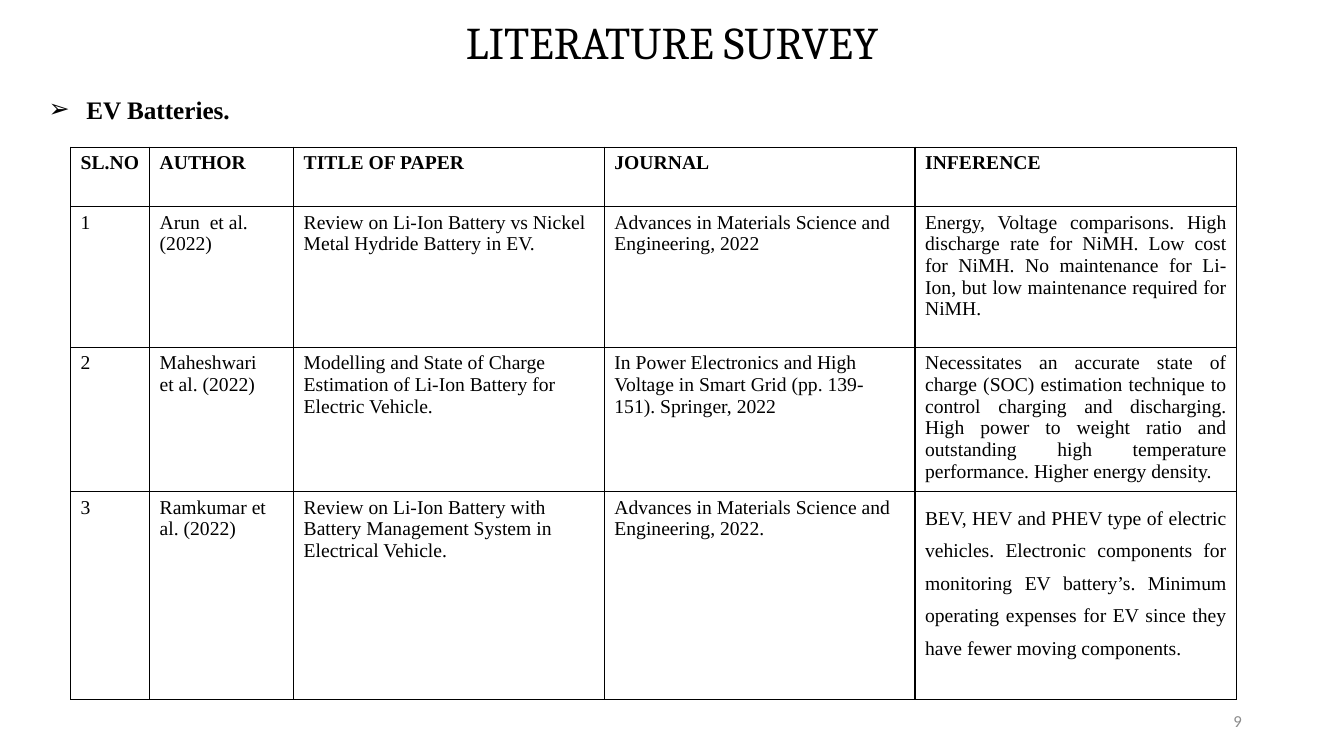
from dataclasses import dataclass

from lxml.etree import SubElement
from pptx import Presentation
from pptx.dml.color import RGBColor
from pptx.enum.text import MSO_ANCHOR, MSO_AUTO_SIZE, PP_ALIGN
from pptx.oxml import parse_xml
from pptx.oxml.ns import nsdecls, qn
from pptx.util import Cm, Pt


@dataclass(frozen=True)
class Theme:
    """Colours, fonts and type sizes of the slide."""
    ink: str = "000000"
    muted: str = "8C8C8C"
    title_font: str = "Cambria"
    text_font: str = "Times New Roman"
    number_font: str = "Calibri"
    title_size: float = 32.4
    heading_size: float = 18
    table_size: float = 14
    number_size: float = 12
    border_width: float = 1


THEME = Theme()
COLUMN_WIDTHS = (1.99, 3.63, 7.83, 7.83, 8.11)
ROW_HEIGHTS = (1.5, 3.54, 3.64, 5.24)
PAPERS = (
    ("SL.NO", "AUTHOR", "TITLE OF PAPER", "JOURNAL", "INFERENCE"),
    ("1", "Arun  et al. (2022)",
     "Review on Li-Ion Battery vs Nickel Metal Hydride Battery in EV.",
     "Advances in Materials Science and Engineering, 2022",
     "Energy, Voltage comparisons. High discharge rate for NiMH. Low cost for NiMH. "
     "No maintenance for Li-Ion, but low maintenance required for NiMH."),
    ("2", "Maheshwari\vet al. (2022)",
     "Modelling and State of Charge Estimation of Li-Ion Battery for Electric Vehicle.",
     "In Power Electronics and High Voltage in Smart Grid (pp. 139-151). Springer, 2022",
     "Necessitates an accurate state of charge (SOC) estimation technique to control "
     "charging and discharging. High power to weight ratio and outstanding high "
     "temperature performance. Higher energy density."),
    ("3", "Ramkumar et al. (2022)",
     "Review on Li-Ion Battery with Battery Management System in Electrical Vehicle.",
     "Advances in Materials Science and Engineering, 2022.",
     "BEV, HEV and PHEV type of electric vehicles. Electronic components for monitoring "
     "EV battery’s. Minimum operating expenses for EV since they have fewer moving "
     "components."),
)


def place(shape, left, top, width, height):
    """Move a shape to a place given in centimetres."""
    shape.left, shape.top = Cm(left), Cm(top)
    shape.width, shape.height = Cm(width), Cm(height)


def write(frame, text, font, size, color=THEME.ink, bold=False,
          align=PP_ALIGN.LEFT, spacing=1.0):
    """Set the text of a frame and format its paragraph and runs."""
    frame.word_wrap = True
    frame.text = text
    para = frame.paragraphs[0]
    para.alignment = align
    para.line_spacing = spacing
    para.space_before = Pt(0)
    for span in para.runs:
        span.font.name = font
        span.font.size = Pt(size)
        span.font.bold = bold
        span.font.color.rgb = RGBColor.from_string(color)
    return para


def add_title(page, text):
    """Fill the title placeholder."""
    title = page.shapes.title
    place(title, 2.34, 1.02, 29.2, 0.23)
    frame = title.text_frame
    frame.auto_size = MSO_AUTO_SIZE.NONE
    frame.vertical_anchor = MSO_ANCHOR.MIDDLE
    write(frame, text, THEME.title_font, THEME.title_size,
          align=PP_ALIGN.CENTER, spacing=0.9)


def add_heading(page, text):
    """Fill the body placeholder with one arrow-bulleted heading."""
    body = page.placeholders[1]
    place(body, 0.97, 2.24, 13.77, 1.02)
    frame = body.text_frame
    frame.auto_size = MSO_AUTO_SIZE.NONE
    para = write(frame, text, THEME.text_font, THEME.heading_size, bold=True)
    properties = para._p.get_or_add_pPr()
    properties.set("marL", str(Cm(0.95)))
    properties.set("indent", str(-Cm(0.95)))
    SubElement(properties, qn("a:buChar")).set("char", "➢")


def draw_borders(cell):
    """Draw a thin line on all four sides of a cell."""
    properties = cell._tc.get_or_add_tcPr()
    for index, side in enumerate(("lnL", "lnR", "lnT", "lnB")):
        properties.insert(index, parse_xml(
            f'<a:{side} {nsdecls("a")} w="{Pt(THEME.border_width)}"><a:solidFill>'
            f'<a:srgbClr val="{THEME.ink}"/></a:solidFill></a:{side}>'))


def add_paper_table(page):
    """Add the bordered table of surveyed papers."""
    frame = page.shapes.add_table(
        len(PAPERS), len(COLUMN_WIDTHS), Cm(1.78), Cm(3.71),
        Cm(sum(COLUMN_WIDTHS)), Cm(sum(ROW_HEIGHTS)))
    table = frame.table
    table.first_row = table.horz_banding = False
    for column, width in zip(table.columns, COLUMN_WIDTHS):
        column.width = Cm(width)
    last_row, last_column = len(PAPERS) - 1, len(COLUMN_WIDTHS) - 1
    for row_index, paper in enumerate(PAPERS):
        table.rows[row_index].height = Cm(ROW_HEIGHTS[row_index])
        for column_index, text in enumerate(paper):
            cell = table.cell(row_index, column_index)
            inference = row_index > 0 and column_index == last_column
            write(cell.text_frame, text, THEME.text_font, THEME.table_size,
                  bold=row_index == 0,
                  align=PP_ALIGN.JUSTIFY if inference else PP_ALIGN.LEFT,
                  spacing=1.5 if inference and row_index == last_row else 1.0)
            cell.fill.background()
            draw_borders(cell)


def add_page_number(page, number):
    """Add the page number at the lower right."""
    box = page.shapes.add_textbox(Cm(23.93), Cm(17.65), Cm(7.62), Cm(1.02))
    box.text_frame.vertical_anchor = MSO_ANCHOR.MIDDLE
    write(box.text_frame, number, THEME.number_font, THEME.number_size,
          THEME.muted, align=PP_ALIGN.RIGHT)


def main():
    """Build the slide and save it."""
    deck = Presentation()
    deck.slide_width, deck.slide_height = Cm(33.87), Cm(19.05)
    page = deck.slides.add_slide(deck.slide_layouts[1])
    add_title(page, "LITERATURE SURVEY")
    add_heading(page, "EV Batteries.")
    add_paper_table(page)
    add_page_number(page, "9")
    deck.save("out.pptx")


if __name__ == "__main__":
    main()
